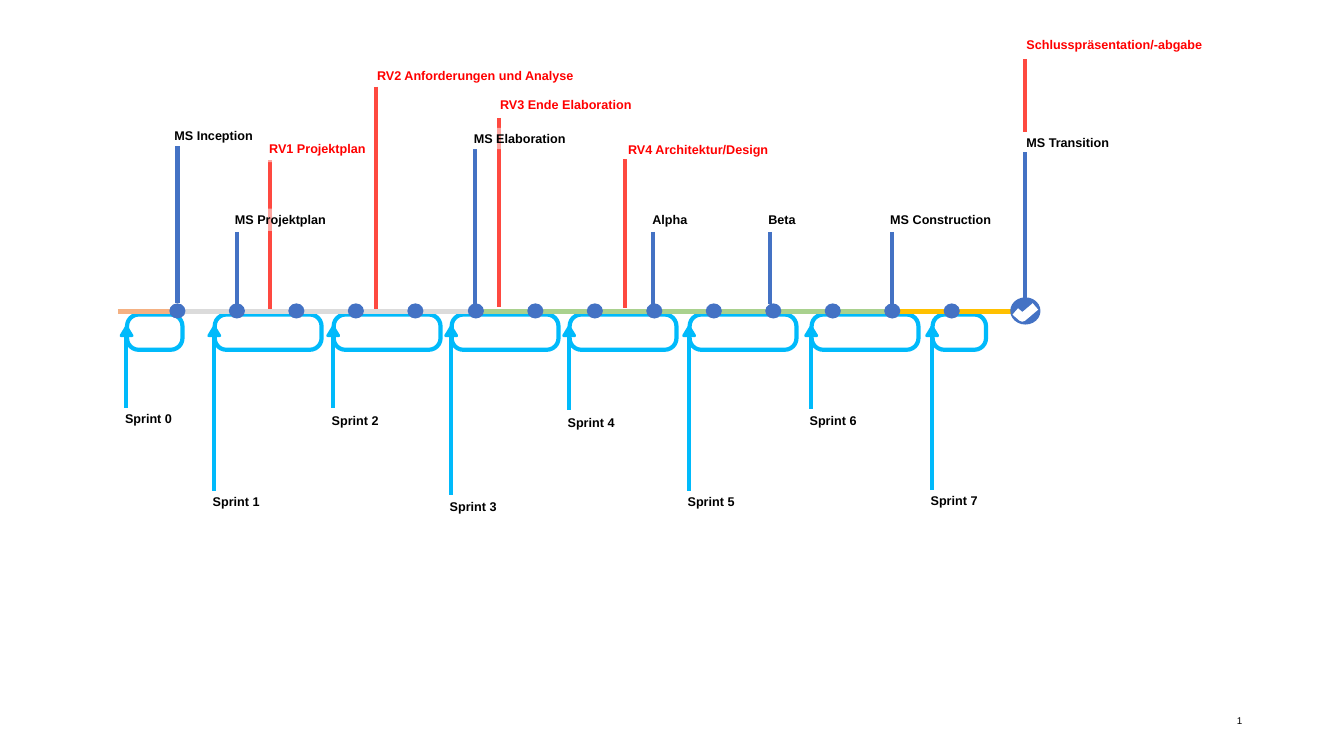
from lxml import etree
from pptx import Presentation
from pptx.dml.color import RGBColor
from pptx.enum.shapes import MSO_CONNECTOR, MSO_SHAPE
from pptx.enum.text import MSO_ANCHOR, PP_ALIGN
from pptx.oxml.ns import qn
from pptx.util import Pt

PX = 9144  # 100 px to the inch
STRAIGHT = MSO_CONNECTOR.STRAIGHT
OVAL, TRIANGLE, ROUNDED = MSO_SHAPE.OVAL, MSO_SHAPE.ISOSCELES_TRIANGLE, MSO_SHAPE.ROUNDED_RECTANGLE
RIGHT, MIDDLE = PP_ALIGN.RIGHT, MSO_ANCHOR.MIDDLE
BLACK, WHITE, RED = "000000", "FFFFFF", "FF0000"
BLUE, CYAN, CORAL = "4472C4", "00BAFB", "FE4940"
AXIS_Y = 309


def paint(s, fill=None, line=None, weight=3):
    """Set fill and line of a shape or connector and remove its shadow."""
    if fill:
        s.fill.solid()
        s.fill.fore_color.rgb = RGBColor.from_string(fill)
    elif hasattr(s, "fill"):
        s.fill.background()
    if line:
        s.line.color.rgb = RGBColor.from_string(line)
        s.line.width = Pt(weight)
    else:
        s.line.fill.background()
    etree.SubElement(s._element.spPr, qn("a:effectLst"))


def label(text, box, color=BLACK, veiled=False, size=9, bold=True):
    """Add a text box, on a half-transparent white ground if veiled."""
    s = shapes.add_textbox(*[v * PX for v in box])
    if veiled:
        paint(s, WHITE)
        srgb = s._element.spPr.find(qn("a:solidFill")).find(qn("a:srgbClr"))
        etree.SubElement(srgb, qn("a:alpha"), val="50000")
    tf = s.text_frame
    tf.word_wrap = True
    tf.margin_left = tf.margin_right = tf.margin_top = tf.margin_bottom = 3 * PX
    p = tf.paragraphs[0]
    p.text = text
    p.font.name, p.font.size, p.font.bold = "Arial", Pt(size), bold
    p.font.color.rgb = RGBColor.from_string(color)
    return tf


prs = Presentation()
prs.slide_width, prs.slide_height = 1333 * PX, 750 * PX
shapes = prs.slides.add_slide(prs.slide_layouts[6]).shapes

# Text, is a review, stem (x, top, bottom), label box, veiled
milestones = [
    ("RV4 Architektur/Design", True, (620, 158, 306), (620, 138, 150, 20), True),
    ("RV3 Ende Elaboration", True, (495, 117, 305), (493, 93, 137, 19), True),
    ("RV2 Anforderungen und Analyse", True, (373, 86, 309), (371, 64, 218, 22), True),
    ("RV1 Projektplan", True, (268, 159, 308), (264, 137, 106, 24), True),
    ("MS Transition", False, (1017, 151, 308), (1015, 131, 103, 21), False),
    ("MS Construction", False, (885, 230, 302), (880, 207, 110, 23), False),
    ("MS Elaboration", False, (471, 148, 304), (467, 127, 103, 21), True),
    ("MS Projektplan", False, (235, 230, 302), (230, 207, 97, 22), True),
    ("MS Inception", False, (176, 145, 301), (170, 124, 103, 21), False),
    ("Alpha", False, (648, 230, 302), (644, 207, 110, 23), False),
    ("Beta", False, (764, 230, 302), (759, 207, 110, 23), False),
    ("Schlusspräsentation/-abgabe", True, (1017, 59, 131), (1015, 34, 209, 17), False),
]
for _, is_review, (x, top, bottom), _, _ in milestones:
    s = shapes.add_connector(STRAIGHT, x * PX, top * PX, x * PX, bottom * PX)
    paint(s, line=CORAL if is_review else BLUE)

# Sprint loops: left, width, stem end, label top
sprints = [
    (126, 55, 405, 405), (213, 106, 487, 487), (331, 106, 405, 407), (448, 106, 491, 492),
    (565, 106, 407, 409), (684, 106, 487, 487), (805, 106, 406, 407), (925, 53, 486, 486),
]
for left, width, _, _ in sprints:
    s = shapes.add_shape(ROUNDED, left * PX, 312 * PX, width * PX, 35 * PX)
    s.adjustments[0] = 0.33
    paint(s, line=CYAN)

# Time axis: one segment per week, coloured by phase
phases = ["F4B183"] + ["DBDBDB"] * 5 + ["A9D18E"] * 7 + ["FFC000"] * 2
weeks = [round(117 + 59.1 * i) for i in range(len(phases) + 1)]
for start, end, color in zip(weeks, weeks[1:], phases):
    s = shapes.add_connector(STRAIGHT, start * PX, AXIS_Y * PX, end * PX, AXIS_Y * PX)
    paint(s, line=color)
for x in weeks[1:-1]:
    s = shapes.add_shape(OVAL, (x - 8) * PX, 301 * PX, 16 * PX, 15 * PX)
    paint(s, BLUE)

# Finish with check mark
s = shapes.add_shape(OVAL, 1002 * PX, 295 * PX, 30 * PX, 27 * PX)
paint(s, BLUE)
check = shapes.build_freeform(1007, 309, scale=PX)
check.add_line_segments([(1014, 315), (1027, 304)], close=False)
paint(check.convert_to_shape(), line=WHITE, weight=6)

for i, (left, _, bottom, label_top) in enumerate(sprints):
    s = shapes.add_shape(TRIANGLE, (left - 6) * PX, 324 * PX, 11 * PX, 9 * PX)
    paint(s, CYAN, CYAN, 2)
    x = left - 1
    s = shapes.add_connector(STRAIGHT, x * PX, 332 * PX, x * PX, bottom * PX)
    paint(s, line=CYAN)
    label(f"Sprint {i}", (left - 5, label_top, 79, 25))

for text, is_review, _, box, veiled in milestones:
    label(text, box, RED if is_review else BLACK, veiled)

tf = label("1", (942, 695, 300, 40), size=7, bold=False)
tf.margin_right = 10 * PX
tf.vertical_anchor = MIDDLE
tf.paragraphs[0].alignment = RIGHT

prs.save("out.pptx")
